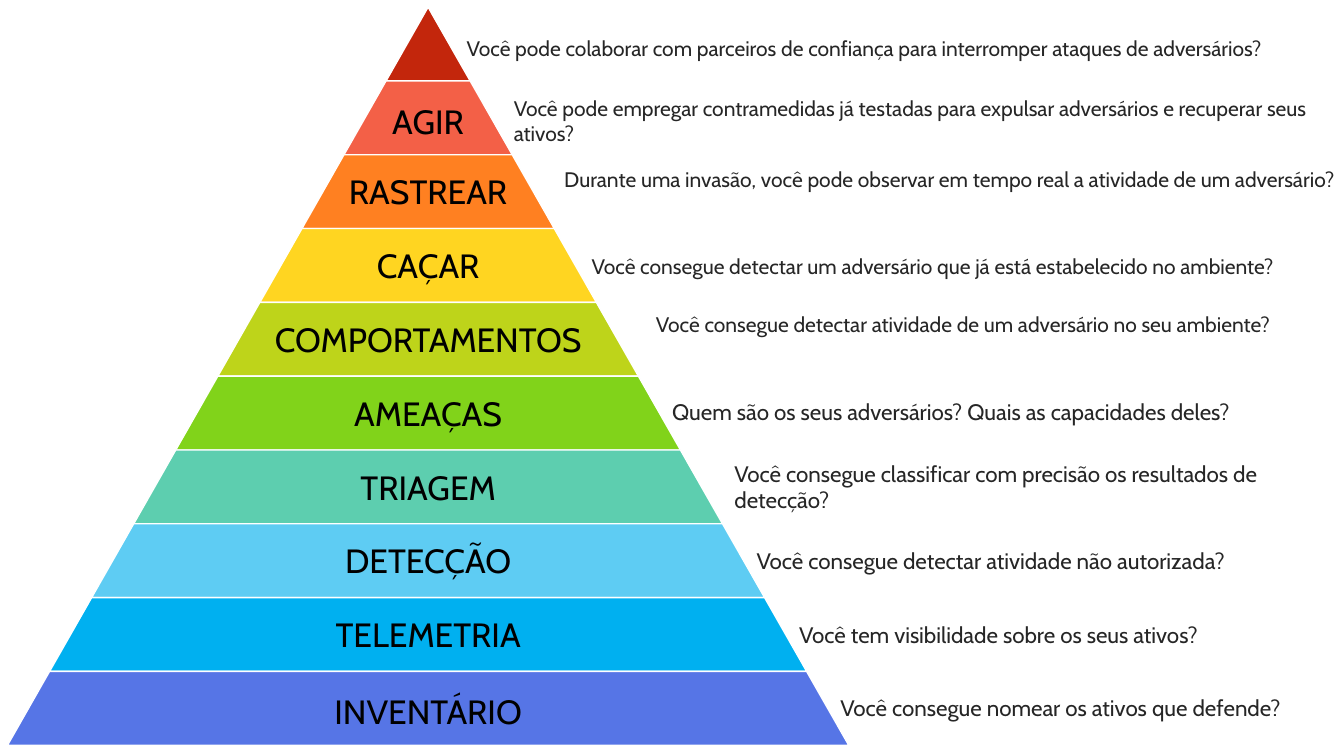
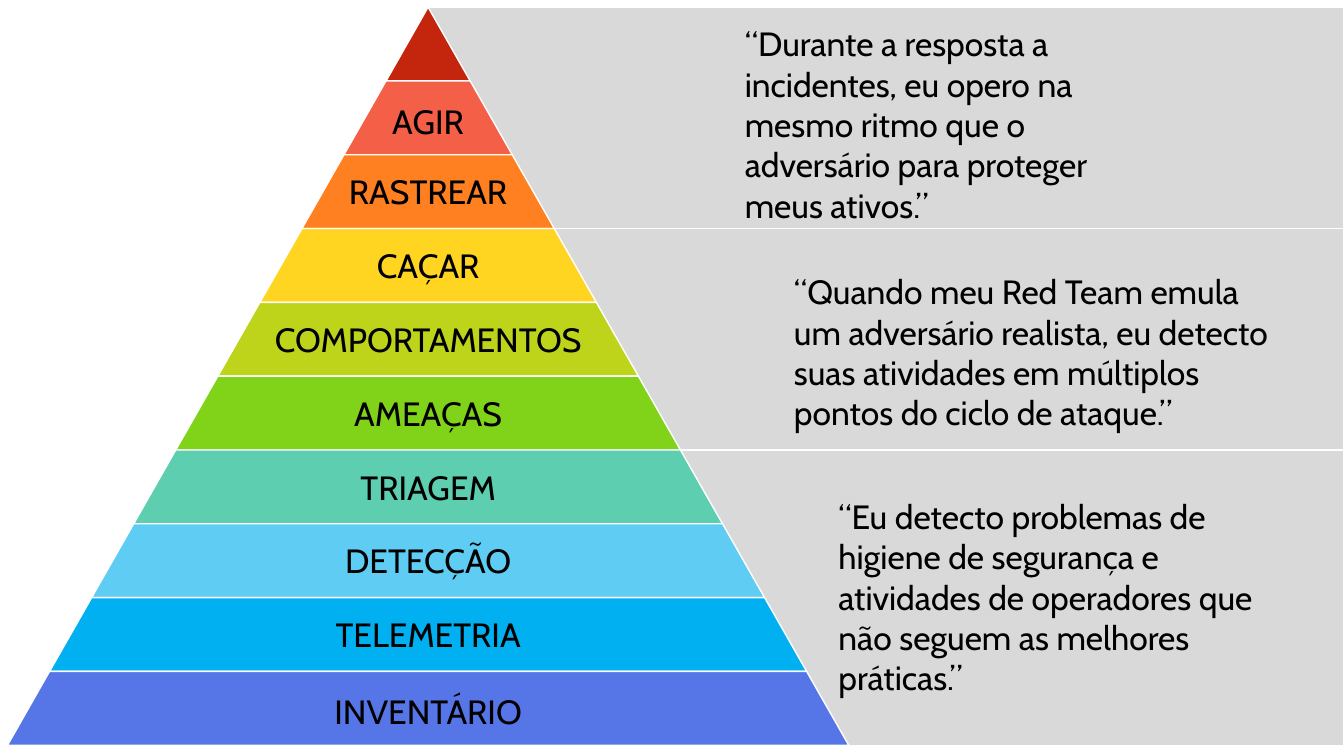
from dataclasses import dataclass
from typing import Any

from pptx import Presentation
from pptx.dml.color import RGBColor
from pptx.enum.shapes import MSO_SHAPE
from pptx.enum.text import MSO_AUTO_SIZE, PP_ALIGN
from pptx.util import Cm, Pt

COLORS = {
    "black": "000000",
    "charcoal": "262626",
    "white": "FFFFFF",
    "backdrop": "F2F2F2",
    "panel": "D9D9D9",
    "dark red": "C3260C",
    "coral": "F36047",
    "orange": "FF8021",
    "yellow": "FFD521",
    "lime": "BED41A",
    "green": "81D31A",
    "teal": "5DCEAF",
    "sky": "5ECCF3",
    "blue": "00B0F0",
    "indigo": "5675E6",
}
FONT = "Cabin"
SLIDE_WIDTH, SLIDE_HEIGHT = 33.87, 19.05

# Pyramid geometry in centimetres: each tier widens by STEP on both sides.
APEX_X, APEX_Y = 10.79, 0.18
TIER_HEIGHT, STEP = 1.86, 1.06
LABEL_HEIGHT, LABEL_SIZE = 1.27, 24


@dataclass(frozen=True)
class Box:
    """A rectangle in centimetres."""
    left: float
    top: float
    width: float
    height: float

    def lengths(self) -> tuple[Cm, Cm, Cm, Cm]:
        """Return the four values as lengths."""
        return Cm(self.left), Cm(self.top), Cm(self.width), Cm(self.height)


@dataclass(frozen=True)
class Tier:
    """One level of the pyramid with the question beside it."""
    label: str
    color: str
    question: str
    box: Box
    size: int = 15
    label_drop: float = 0.29


@dataclass(frozen=True)
class Quote:
    """A quotation on a panel that spans several tiers."""
    first_tier: int
    last_tier: int
    text: str
    box: Box


TIERS = [
    Tier("", "dark red",
         "Você pode colaborar com parceiros de confiança para interromper "
         "ataques de adversários?", Box(11.51, 0.76, 21.79, 0.89)),
    Tier("AGIR", "coral",
         "Você pode empregar contramedidas já testadas para expulsar "
         "adversários e recuperar seus ativos?",
         Box(12.7, 2.29, 21.16, 1.55), label_drop=0.38),
    Tier("RASTREAR", "orange",
         "Durante uma invasão, você pode observar em tempo real a atividade "
         "de um adversário?", Box(13.97, 4.06, 20.7, 1.55)),
    Tier("CAÇAR", "yellow",
         "Você consegue detectar um adversário que já está estabelecido no "
         "ambiente?", Box(14.66, 6.27, 19.2, 0.89)),
    Tier("COMPORTAMENTOS", "lime",
         "Você consegue detectar atividade de um adversário no seu ambiente?",
         Box(16.28, 7.72, 17.2, 1.55)),
    Tier("AMEAÇAS", "green",
         "Quem são os seus adversários? Quais as capacidades deles?",
         Box(16.69, 9.91, 15.67, 0.94), size=16),
    Tier("TRIAGEM", "teal",
         "Você consegue classificar com precisão os resultados de detecção?",
         Box(18.26, 11.46, 14.15, 1.63), size=16),
    Tier("DETECÇÃO", "sky",
         "Você consegue detectar atividade não autorizada?",
         Box(18.82, 13.67, 13.51, 0.94), size=16),
    Tier("TELEMETRIA", "blue",
         "Você tem visibilidade sobre os seus ativos?",
         Box(19.89, 15.52, 11.66, 0.94), size=16),
    Tier("INVENTÁRIO", "indigo",
         "Você consegue nomear os ativos que defende?",
         Box(20.93, 17.37, 12.34, 0.94), size=16, label_drop=0.36),
]

QUOTES = [
    Quote(0, 3,
          "“Durante a resposta a incidentes, eu opero na mesmo ritmo que o "
          "adversário para proteger meus ativos.”",
          Box(18.52, 0.46, 11.23, 5.38)),
    Quote(3, 6,
          "“Quando meu Red Team emula um adversário realista, eu detecto suas "
          "atividades em múltiplos pontos do ciclo de ataque.”",
          Box(19.76, 6.71, 12.7, 4.37)),
    Quote(6, 10,
          "“Eu detecto problemas de higiene de segurança e atividades de "
          "operadores que não seguem as melhores práticas.”",
          Box(20.88, 12.37, 11.96, 5.38)),
]


def color_of(name: str) -> RGBColor:
    """Look up a named colour."""
    return RGBColor.from_string(COLORS[name])


def apply_format(target: Any, values: dict[str, Any]) -> None:
    """Set each named attribute on the target."""
    for name, value in values.items():
        setattr(target, name, value)


def tier_top(index: int) -> float:
    """Return the upper edge of a tier in centimetres."""
    return round(APEX_Y + index * TIER_HEIGHT, 2)


def paint(shape: Any, fill: str, outlined: bool = True) -> None:
    """Fill a shape, with a thin white outline or none."""
    shape.shadow.inherit = False
    shape.fill.solid()
    shape.fill.fore_color.rgb = color_of(fill)
    if outlined:
        shape.line.color.rgb = color_of("white")
        shape.line.width = Pt(1)
    else:
        shape.line.fill.background()


def add_text(shapes: Any, box: Box, text: str, size: int, color: str = "black",
             alignment: PP_ALIGN = PP_ALIGN.LEFT) -> None:
    """Add a wrapping text box with one paragraph."""
    frame = shapes.add_textbox(*box.lengths()).text_frame
    apply_format(frame, {"word_wrap": True,
                         "auto_size": MSO_AUTO_SIZE.SHAPE_TO_FIT_TEXT})
    paragraph = frame.paragraphs[0]
    paragraph.alignment = alignment
    run = paragraph.add_run()
    run.text = text
    apply_format(run.font, {"name": FONT, "size": Pt(size)})
    run.font.color.rgb = color_of(color)


def add_tier(shapes: Any, index: int, tier: Tier) -> None:
    """Draw one pyramid level and its centred label."""
    top, bottom = tier_top(index), tier_top(index + 1)
    upper, lower = index * STEP, (index + 1) * STEP
    corners = [(Cm(APEX_X + offset), Cm(y)) for offset, y in
               [(-lower, bottom), (-upper, top), (upper, top), (lower, bottom)]]
    builder = shapes.build_freeform(*corners[0])
    builder.add_line_segments(corners[1:], close=True)
    paint(builder.convert_to_shape(), tier.color)
    if tier.label:
        box = Box(APEX_X - lower, top + tier.label_drop, 2 * lower, LABEL_HEIGHT)
        add_text(shapes, box, tier.label, LABEL_SIZE, alignment=PP_ALIGN.CENTER)


def add_questions_slide(presentation: Any) -> None:
    """Build the pyramid with a question beside every tier."""
    slide = presentation.slides.add_slide(presentation.slide_layouts[6])
    count = len(TIERS)
    outline = Box(APEX_X - count * STEP, APEX_Y, 2 * count * STEP,
                  count * TIER_HEIGHT)
    backdrop = slide.shapes.add_shape(MSO_SHAPE.ISOSCELES_TRIANGLE,
                                      *outline.lengths())
    paint(backdrop, "backdrop", outlined=False)
    for index, tier in enumerate(TIERS):
        group = slide.shapes.add_group_shape()
        add_tier(group.shapes, index, tier)
        add_text(group.shapes, tier.box, tier.question, tier.size, "charcoal")


def add_quotes_slide(presentation: Any) -> None:
    """Build the pyramid in front of three quotation panels."""
    slide = presentation.slides.add_slide(presentation.slide_layouts[6])
    for quote in QUOTES:
        top = tier_top(quote.first_tier)
        area = Box(APEX_X, top, SLIDE_WIDTH - APEX_X,
                   tier_top(quote.last_tier) - top)
        paint(slide.shapes.add_shape(MSO_SHAPE.RECTANGLE, *area.lengths()),
              "panel")
    for index, tier in enumerate(TIERS):
        add_tier(slide.shapes, index, tier)
    for quote in QUOTES:
        add_text(slide.shapes, quote.box, quote.text, LABEL_SIZE)


def main() -> None:
    """Create and save the presentation."""
    presentation = Presentation()
    apply_format(presentation, {"slide_width": Cm(SLIDE_WIDTH),
                                "slide_height": Cm(SLIDE_HEIGHT)})
    add_questions_slide(presentation)
    add_quotes_slide(presentation)
    presentation.save("out.pptx")


main()
